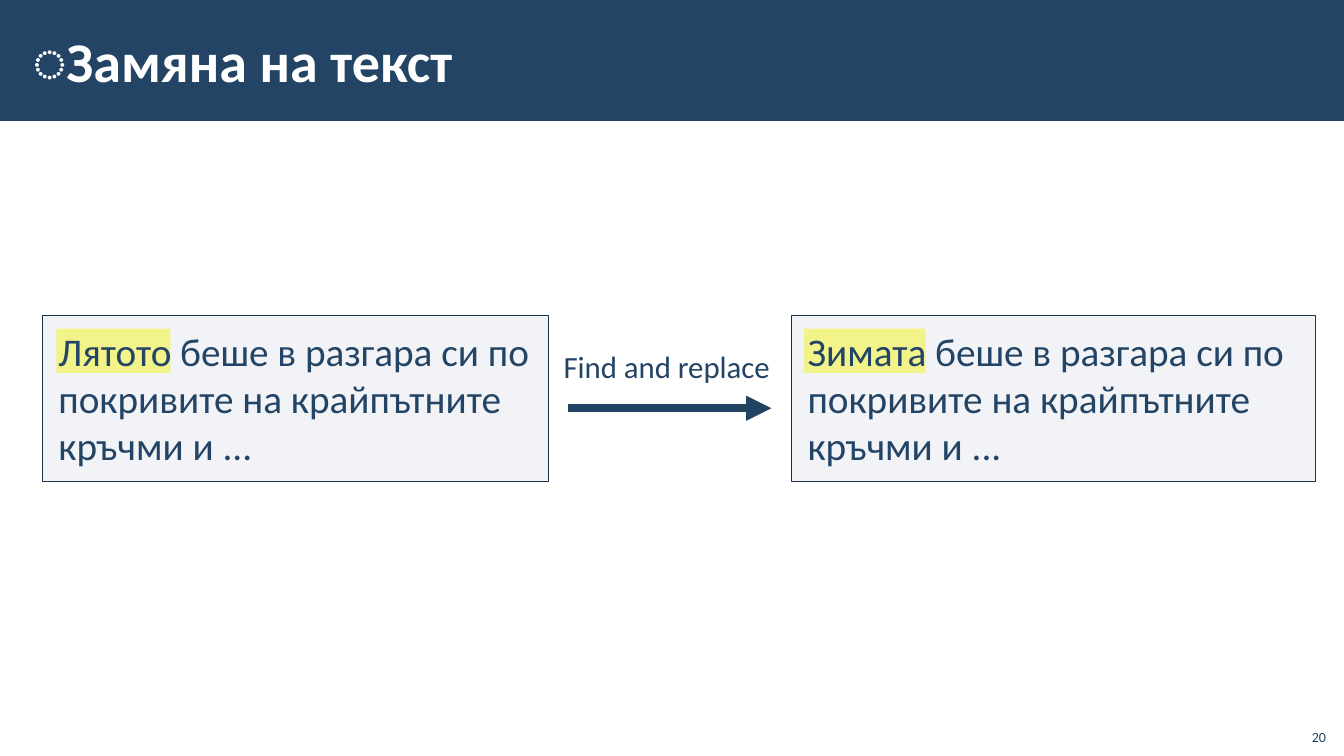
from dataclasses import dataclass

from lxml import etree
from pptx import Presentation
from pptx.dml.color import RGBColor
from pptx.enum.shapes import MSO_CONNECTOR, MSO_SHAPE
from pptx.enum.text import MSO_ANCHOR, MSO_AUTO_SIZE, PP_ALIGN
from pptx.oxml.ns import qn
from pptx.util import Inches, Pt

RECTANGLE = MSO_SHAPE.RECTANGLE
STRAIGHT = MSO_CONNECTOR.STRAIGHT
TOP, MIDDLE, BOTTOM = MSO_ANCHOR.TOP, MSO_ANCHOR.MIDDLE, MSO_ANCHOR.BOTTOM
LEFT, RIGHT = PP_ALIGN.LEFT, PP_ALIGN.RIGHT
GROW = MSO_AUTO_SIZE.SHAPE_TO_FIT_TEXT


@dataclass(frozen=True)
class Theme:
    """Colours, font and type sizes of the slide."""
    navy: str = "234465"
    arrow: str = "214364"
    border: str = "1A334C"
    panel: str = "ADB4C3"
    marker: str = "FFFF00"
    white: str = "FFFFFF"
    font: str = "Calibri"
    title: int = 40
    body: int = 28
    label: int = 22
    number: int = 10


THEME = Theme()
SENTENCE_END = " беше в разгара си по покривите на крайпътните кръчми и ..."


def add_rectangle(slide, box, colour, opacity=100):
    """Add a borderless filled rectangle with the given opacity in percent."""
    rectangle = slide.shapes.add_shape(RECTANGLE, *map(Inches, box))
    rectangle.shadow.inherit = False
    rectangle.line.fill.background()
    rectangle.fill.solid()
    rectangle.fill.fore_color.rgb = RGBColor.from_string(colour)
    if opacity < 100:
        tint = rectangle.fill._xPr.find(".//" + qn("a:srgbClr"))
        etree.SubElement(tint, qn("a:alpha"), val=str(opacity * 1000))
    return rectangle


def write(shape, text, size, colour=THEME.navy, insets=(0.16, 0.12),
          anchor=TOP, align=LEFT, bold=False, wrap=True):
    """Put one styled paragraph into a shape and return it."""
    frame = shape.text_frame
    frame.word_wrap = wrap
    frame.vertical_anchor = anchor
    frame.margin_left = frame.margin_right = Inches(insets[0])
    frame.margin_top = frame.margin_bottom = Inches(insets[1])
    frame.text = text
    paragraph = frame.paragraphs[0]
    paragraph.alignment = align
    font = paragraph.runs[0].font
    font.name, font.size, font.bold = THEME.font, Pt(size), bold
    font.color.rgb = RGBColor.from_string(colour)
    return paragraph


def add_header(slide, box, title):
    """Draw the title band across the given box."""
    left, top, width, height = box
    add_rectangle(slide, box, THEME.navy)
    heading = slide.shapes.add_textbox(
        Inches(left + 0.21), Inches(top + 0.11), Inches(width - 2.1), Inches(height - 0.23))
    write(heading, title, THEME.title, THEME.white, (0.12, 0.04), MIDDLE, bold=True)


def add_sentence(slide, box, first_word, marker_left, marker_width):
    """Draw a bordered sentence panel with its first word highlighted."""
    left, top, _, _ = box
    add_rectangle(slide, (left + marker_left, top + 0.13, marker_width, 0.44),
                  THEME.marker, 50)
    panel = add_rectangle(slide, box, THEME.panel, 15)
    panel.line.color.rgb = RGBColor.from_string(THEME.border)
    panel.line.width = Pt(1)
    write(panel, first_word + SENTENCE_END, THEME.body)
    panel.text_frame.auto_size = GROW


def add_replace_arrow(slide, box, caption):
    """Draw the caption with an arrow below it."""
    left, top, width, height = box
    label = slide.shapes.add_textbox(*map(Inches, (left, top, width, 0.63)))
    write(label, caption, THEME.label, wrap=False).line_spacing = 1.1
    label.text_frame.auto_size = GROW
    arrow_y = Inches(top + height)
    arrow = slide.shapes.add_connector(
        STRAIGHT, Inches(left + 0.2), arrow_y, Inches(left + 2.22), arrow_y)
    arrow.line.color.rgb = RGBColor.from_string(THEME.arrow)
    arrow.line.width = Pt(6)
    etree.SubElement(arrow.line._get_or_add_ln(), qn("a:tailEnd"), type="triangle")
    etree.SubElement(arrow._element.spPr, qn("a:effectLst"))


def add_slide_number(slide, box, number):
    """Write the slide number at the bottom right of the box."""
    corner = slide.shapes.add_textbox(*map(Inches, box))
    write(corner, number, THEME.number, insets=(0.1, 0.05), anchor=BOTTOM, align=RIGHT)


def main():
    """Build and save the slide."""
    deck = Presentation()
    deck.slide_width, deck.slide_height = Inches(13.33), Inches(7.5)
    slide = deck.slides.add_slide(deck.slide_layouts[6])
    add_header(slide, (0, 0, 13.33, 1.2), "͏Замяна на текст")
    add_sentence(slide, (7.85, 3.13, 5.2, 1.65), "Зимата", 0.12, 1.21)
    add_sentence(slide, (0.42, 3.13, 5.02, 1.65), "Лятото", 0.14, 1.13)
    add_replace_arrow(slide, (5.43, 3.29, 2.38, 0.76), "Find and replace")
    add_slide_number(slide, (12.85, 7.12, 0.4, 0.32), "20")
    deck.save("out.pptx")


if __name__ == "__main__":
    main()
